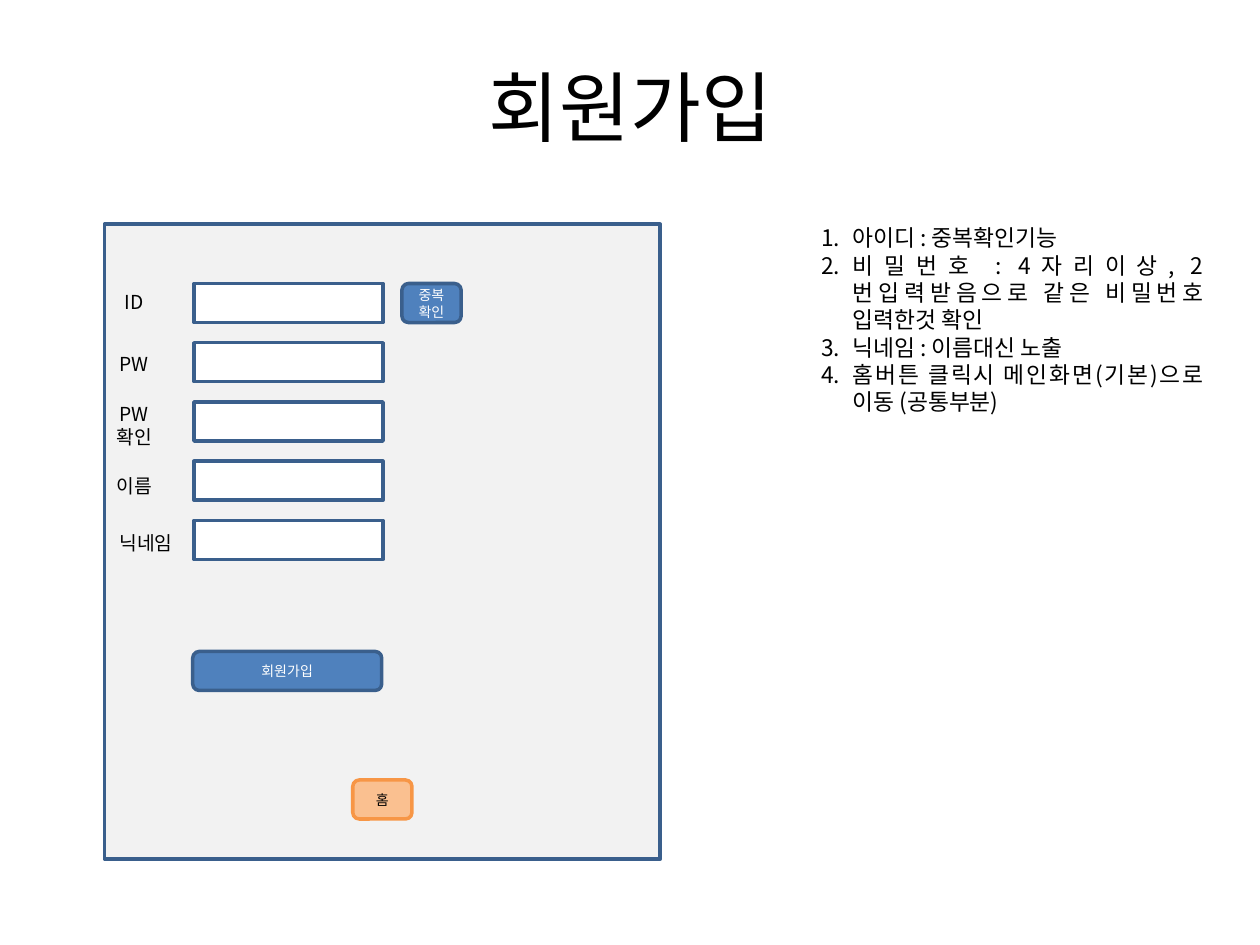
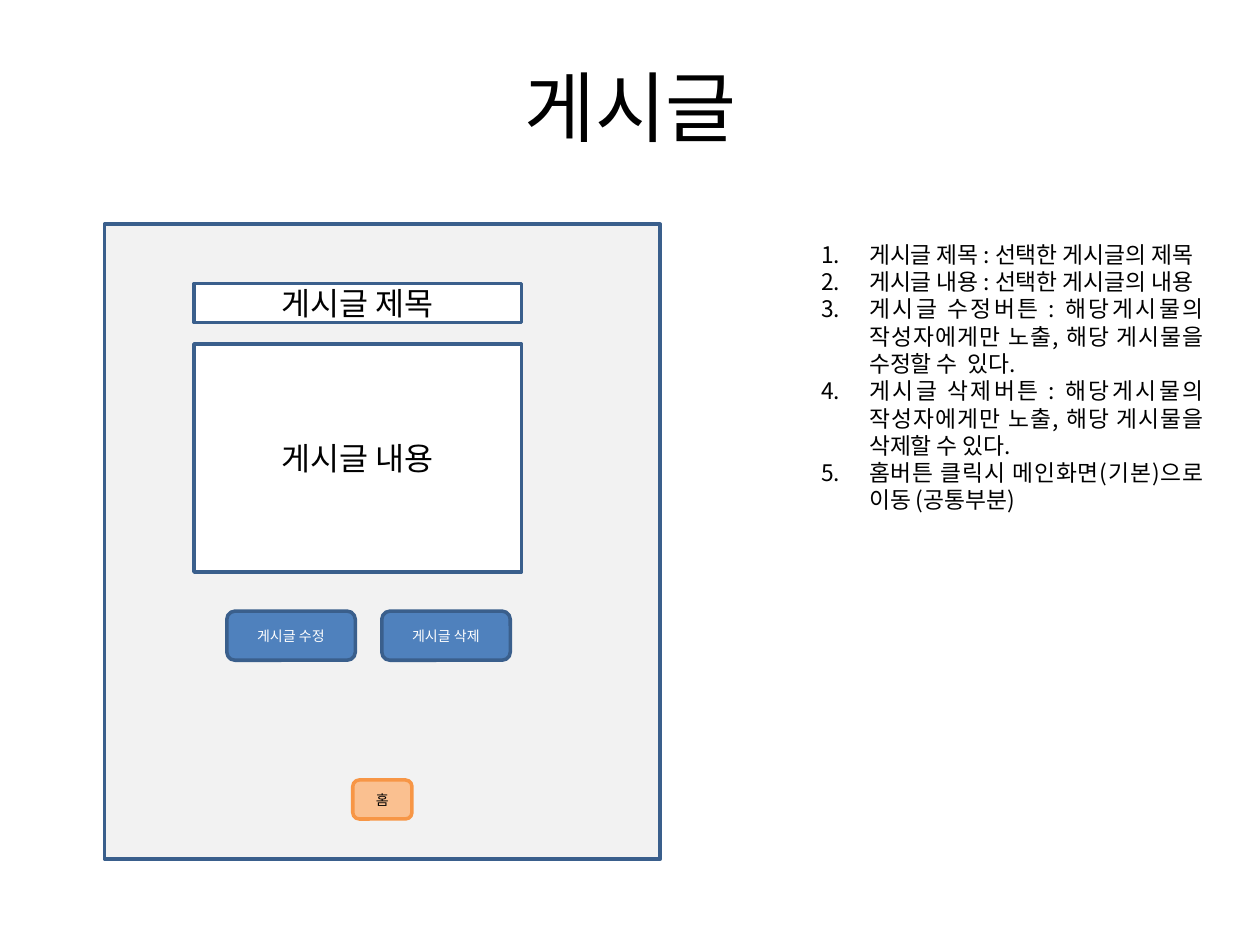
import pptx
import pptx.util
import pptx.dml.color
import pptx.enum.shapes
import pptx.enum.text
import pptx.oxml.ns
import lxml.etree
from dataclasses import dataclass

Inches = pptx.util.Inches
Pt = pptx.util.Pt
Align = pptx.enum.text.PP_ALIGN
Anchor = pptx.enum.text.MSO_ANCHOR
Kind = pptx.enum.shapes.MSO_SHAPE
qn = pptx.oxml.ns.qn


# Colours and type sizes
@dataclass(frozen=True)
class Theme:
    font: str = "Noto Sans CJK KR"
    ink: str = "000000"
    white: str = "FFFFFF"
    panel: str = "F2F2F2"
    edge: str = "3A5F8C"
    blue: str = "4F81BD"
    peach: str = "FAC090"
    orange: str = "F79646"
    title: int = 44
    large: int = 18
    note: int = 13
    label: int = 11
    small: int = 8
    stroke: int = 2
    leading: float = 1.2


THEME = Theme()


def color(code):
    return pptx.dml.color.RGBColor.from_string(code)


def write(frame, *lines, size, ink=THEME.ink, align=Align.CENTER,
          anchor=Anchor.MIDDLE, top=0.05, indent=0):
    """Fill a text frame; an indent turns the lines into a numbered list."""
    frame.word_wrap = True
    frame.vertical_anchor = anchor
    frame.margin_top = Inches(top)
    for i, line in enumerate(lines):
        para = frame.add_paragraph() if i else frame.paragraphs[0]
        para.alignment = align
        para.line_spacing = Pt(round(size * THEME.leading, 1))
        run = para.add_run()
        run.text = line
        run.font.size = Pt(size)
        run.font.name = THEME.font
        run.font.color.rgb = color(ink)
        east = lxml.etree.SubElement(run.font._element, qn("a:ea"))
        east.set("typeface", THEME.font)
        if indent:
            props = para._p.get_or_add_pPr()
            props.set("marL", str(Inches(indent)))
            props.set("indent", str(-Inches(indent)))
            mark = lxml.etree.SubElement(props, qn("a:buAutoNum"))
            mark.set("type", "arabicPeriod")


class Deck:
    def __init__(self, theme):
        self.theme = theme
        self.file = pptx.Presentation()
        self.file.slide_width = Inches(10)
        self.file.slide_height = Inches(7.5)
        self.slide = None

    def screen(self, title):
        """Start a slide with its title, panel and home button."""
        self.slide = self.file.slides.add_slide(self.file.slide_layouts[6])
        self.text(title, 1.46, 0.21, 7.09, 1.26, size=self.theme.title)
        self.shape(Kind.RECTANGLE, 0.83, 1.78, 4.41, 5.04,
                   self.theme.panel, self.theme.edge)
        self.button("홈", 2.8, 6.19, 0.47, fill=self.theme.peach,
                    line=self.theme.orange, ink=self.theme.ink)

    def frame(self, *box):
        place = [Inches(n) for n in box]
        return self.slide.shapes.add_textbox(*place).text_frame

    def text(self, words, *box, size):
        write(self.frame(*box), words, size=size)

    def shape(self, kind, left, top, width, height, fill, line):
        place = [Inches(n) for n in (left, top, width, height)]
        item = self.slide.shapes.add_shape(kind, *place)
        item.shadow.inherit = False
        item.fill.solid()
        item.fill.fore_color.rgb = color(fill)
        item.line.color.rgb = color(line)
        item.line.width = Pt(self.theme.stroke)
        return item

    def field(self, left, top, width, height=0.31, words=None):
        item = self.shape(Kind.RECTANGLE, left, top, width, height,
                          self.theme.white, self.theme.edge)
        if words:
            write(item.text_frame, words, size=self.theme.large)

    def button(self, words, left, top, width, height=0.31,
               fill=THEME.blue, line=THEME.edge, ink=THEME.white):
        item = self.shape(Kind.ROUNDED_RECTANGLE, left, top, width, height,
                          fill, line)
        write(item.text_frame, words, size=self.theme.small, ink=ink)

    def notes(self, lines, height, top, indent):
        write(self.frame(6.42, 1.78, 3.23, height), *lines,
              size=self.theme.note, align=Align.JUSTIFY,
              anchor=Anchor.TOP, top=top, indent=indent)


# Sign-up form
def signup(deck):
    deck.screen("회원가입")
    labels = [
        ("ID", 0.83, 2.28, 0.47),
        ("PW", 0.83, 2.77, 0.47),
        ("PW확인", 0.79, 3.26, 0.55),
        ("이름", 0.79, 3.74, 0.55),
        ("닉네임", 0.79, 4.19, 0.74),
    ]
    for row, (words, left, top, width) in enumerate(labels):
        deck.text(words, left, top, width, 0.23, size=deck.theme.label)
        deck.field(1.54, 2.25 + 0.47 * row, 1.5)
    deck.button("중복확인", 3.19, 2.25, 0.47)
    deck.button("회원가입", 1.53, 5.17, 1.5)
    deck.notes([
        "아이디 : 중복확인기능",
        "비밀번호 : 4자리이상, 2번입력받음으로 같은 비밀번호 입력한것 확인",
        "닉네임 : 이름대신 노출",
        "홈버튼 클릭시 메인화면(기본)으로 이동 (공통부분)",
    ], height=1.89, top=0, indent=0.25)


# Post view
def post(deck):
    deck.screen("게시글")
    deck.field(1.54, 2.25, 2.6, words="게시글 제목")
    deck.field(1.54, 2.73, 2.6, 1.81, words="게시글 내용")
    for i, words in enumerate(["게시글 수정", "게시글 삭제"]):
        deck.button(words, 1.8 + 1.23 * i, 4.85, 1.02, 0.39)
    deck.notes([
        "게시글 제목 : 선택한 게시글의 제목",
        "게시글 내용 : 선택한 게시글의 내용",
        "게시글 수정버튼 : 해당게시물의 작성자에게만 노출, 해당 게시물을 수정할 수  있다.",
        "게시글 삭제버튼 : 해당게시물의 작성자에게만 노출, 해당 게시물을 삭제할 수 있다.",
        "홈버튼 클릭시 메인화면(기본)으로 이동 (공통부분)",
    ], height=3.93, top=0.13, indent=0.38)


def main():
    deck = Deck(THEME)
    signup(deck)
    post(deck)
    deck.file.save("out.pptx")


if __name__ == "__main__":
    main()
